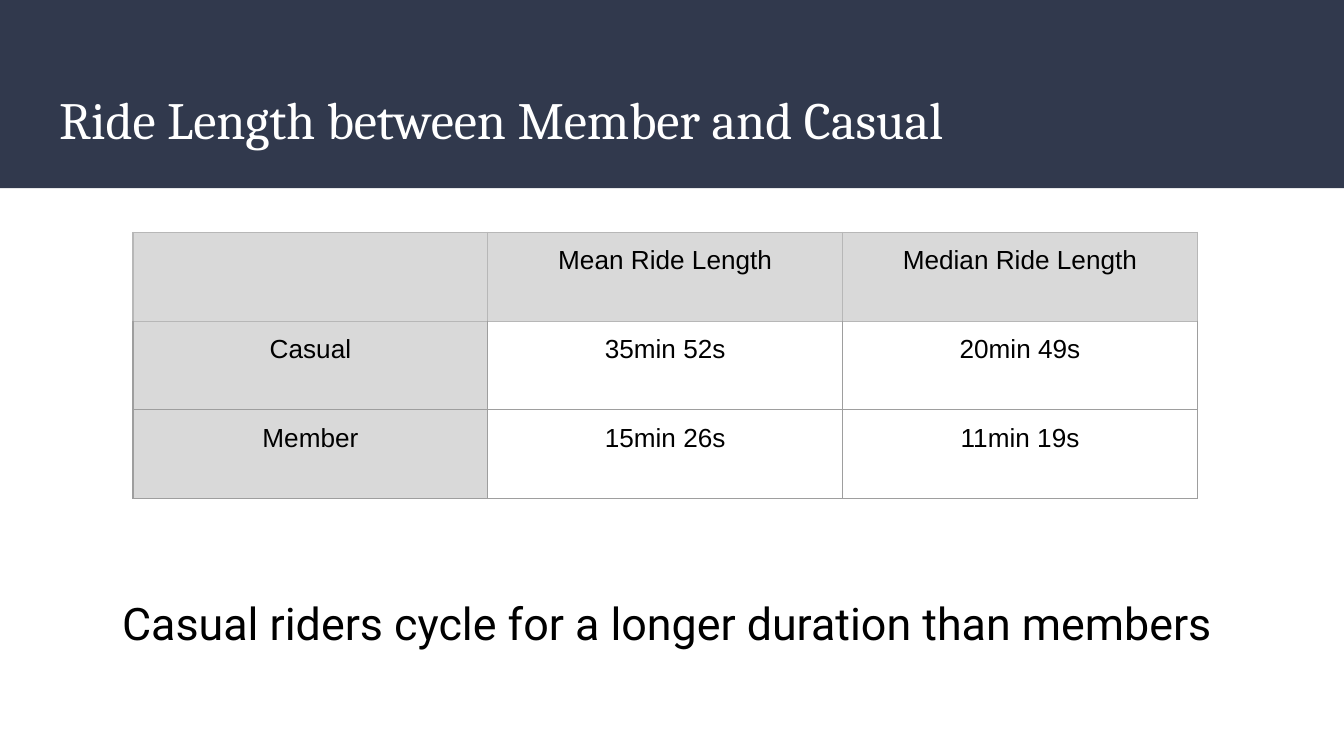
from dataclasses import dataclass

from lxml.etree import SubElement
from pptx import Presentation
from pptx.dml.color import RGBColor as RGB
from pptx.enum.shapes import MSO_SHAPE as Shape
from pptx.enum.text import MSO_ANCHOR as Anchor, PP_ALIGN as Align
from pptx.oxml.ns import qn
from pptx.util import Inches, Pt


@dataclass(frozen=True)
class Theme:
    navy: str = "31394D"
    white: str = "FFFFFF"
    black: str = "000000"
    label_fill: str = "D9D9D9"
    header_border: str = "B7B7B7"
    body_border: str = "9E9E9E"
    title_size: int = 28
    table_size: int = 14
    takeaway_size: int = 24


theme = Theme()


def write(frame, text, font, size, color, align=Align.LEFT):
    frame.word_wrap = True
    frame.margin_left = frame.margin_right = Inches(0.1)
    frame.margin_top = frame.margin_bottom = Inches(0.1)
    paragraph = frame.paragraphs[0]
    paragraph.alignment = align
    run = paragraph.add_run()
    run.text = text
    run.font.name = font
    run.font.size = Pt(size)
    run.font.color.rgb = RGB.from_string(color)


def add_border(cell, side, color):
    line = SubElement(cell._tc.get_or_add_tcPr(), qn(f"a:ln{side}"), w=str(Pt(0.75)))
    fill = SubElement(line, qn("a:solidFill"))
    SubElement(fill, qn("a:srgbClr"), val=color)


# Widescreen 16:9 slide
prs = Presentation()
prs.slide_width, prs.slide_height = Inches(10), Inches(10 * 9 / 16)
slide = prs.slides.add_slide(prs.slide_layouts[5])
shapes = slide.shapes

# Title
title = shapes.title
title.left, title.top = Inches(0.34), Inches(0.54)
title.width, title.height = Inches(9.32), Inches(0.68)
title.text_frame.vertical_anchor = Anchor.MIDDLE
write(title.text_frame, "Ride Length between Member and Casual",
      "Cambria", theme.title_size, theme.white)

# Banner behind the title
banner = shapes.add_shape(Shape.RECTANGLE, 0, 0, prs.slide_width, Inches(1.4))
banner.shadow.inherit = False
banner.fill.solid()
banner.fill.fore_color.rgb = RGB.from_string(theme.navy)
banner.line.fill.background()
title.element.addprevious(banner.element)

# Ride length table
ride_lengths = [
    ["", "Mean Ride Length", "Median Ride Length"],
    ["Casual", "35min 52s", "20min 49s"],
    ["Member", "15min 26s", "11min 19s"],
]
table = shapes.add_table(3, 3, Inches(0.99), Inches(1.73),
                         Inches(3 * 2.64), Inches(3 * 0.66)).table
table.first_row = table.horz_banding = False
for column in table.columns:
    column.width = Inches(2.64)
for row in table.rows:
    row.height = Inches(0.66)

for r, values in enumerate(ride_lengths):
    for c, value in enumerate(values):
        cell = table.cell(r, c)
        cell.margin_left = cell.margin_right = Inches(0.1)
        cell.margin_top = cell.margin_bottom = Inches(0.1)
        if value:
            write(cell.text_frame, value, "Arial", theme.table_size,
                  theme.black, Align.CENTER)
        for side in "LRTB":
            by_header = r == 0 or (r == 1 and side == "T")
            add_border(cell, side, theme.header_border if by_header else theme.body_border)
        if r == 0 or c == 0:
            cell.fill.solid()
            cell.fill.fore_color.rgb = RGB.from_string(theme.label_fill)
        else:
            cell.fill.background()

# Takeaway
takeaway = shapes.add_textbox(Inches(0.81), Inches(4.33), Inches(8.39), Inches(0.61))
write(takeaway.text_frame, "Casual riders cycle for a longer duration than members",
      "Roboto", theme.takeaway_size, theme.black)

prs.save("out.pptx")
